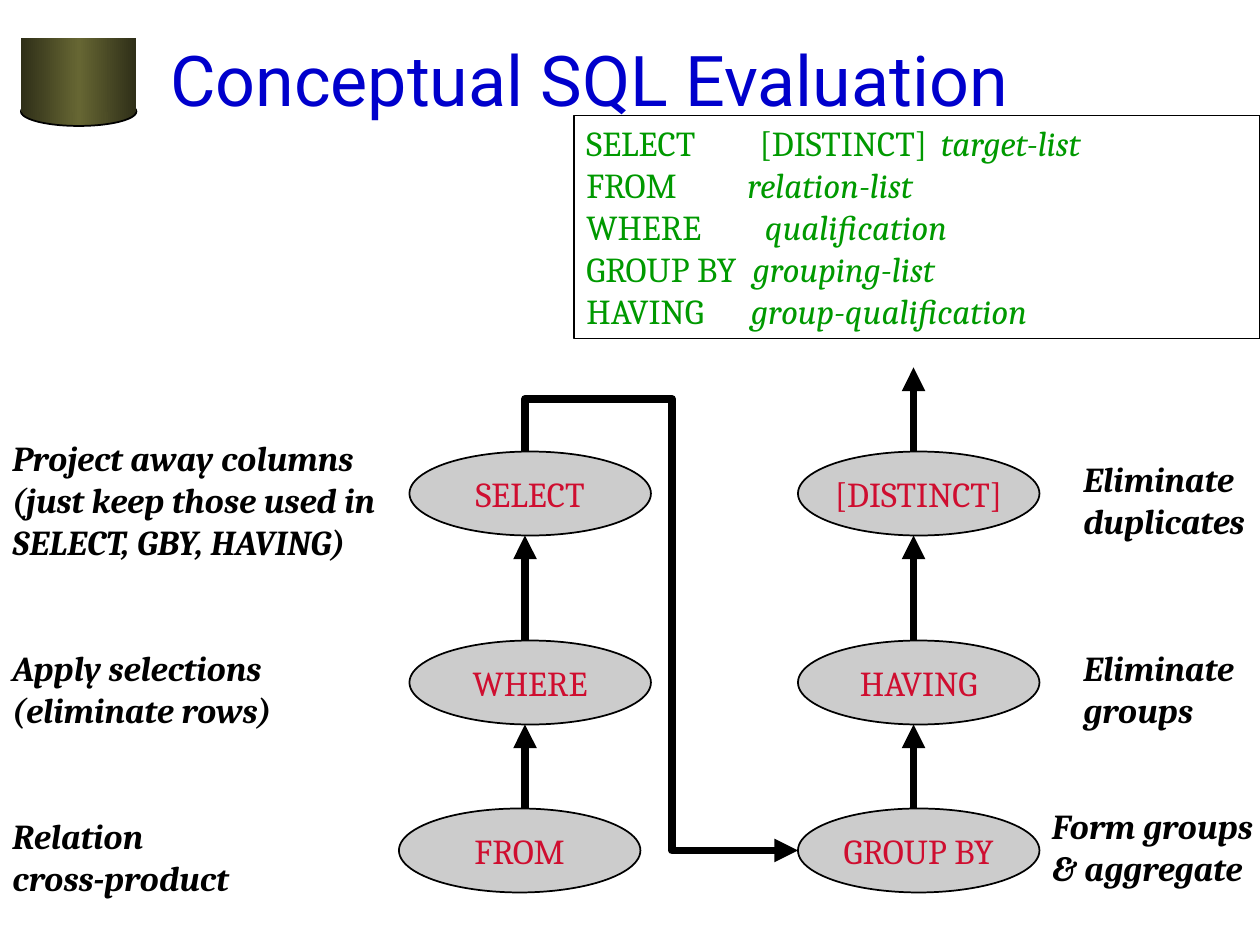
from copy import deepcopy

from lxml import etree
from pptx import Presentation
from pptx.dml.color import RGBColor
from pptx.enum import shapes, text
from pptx.oxml import ns
from pptx.util import Pt

BLACK = "000000"
SERIF = "Cambria"


def color(value):
    return RGBColor.from_string(value)


class Painter:
    text_size = 20
    arrow_width = 4.5

    def __init__(self, slide):
        self.slide = slide

    def set_font(self, font, value, name=SERIF, size=text_size, bold=False, italic=None):
        font.name = name
        font.size = Pt(size)
        font.bold = bold
        font.italic = italic
        font.color.rgb = color(value)

    def title(self, wording, left, top, width, height):
        shape = self.slide.shapes.title
        shape.left, shape.top, shape.width, shape.height = map(Pt, (left, top, width, height))
        frame = shape.text_frame
        frame.text = wording
        frame.auto_size = text.MSO_AUTO_SIZE.NONE
        frame.vertical_anchor = text.MSO_ANCHOR.MIDDLE
        paragraph = frame.paragraphs[0]
        paragraph.alignment = text.PP_ALIGN.LEFT
        self.set_font(paragraph.font, "0000CC", "Roboto", 40)

    def shape(self, kind, left, top, width, height, fill=None, outlined=True):
        shape = self.slide.shapes.add_shape(kind, *map(Pt, (left, top, width, height)))
        shape.shadow.inherit = False
        if fill:
            shape.fill.solid()
            shape.fill.fore_color.rgb = color(fill)
        else:
            shape.fill.background()
        if outlined:
            shape.line.color.rgb = color(BLACK)
            shape.line.width = Pt(1)
        else:
            shape.line.fill.background()
        return shape

    def metal(self, kind, left, top, width, height, outlined):
        shape = self.shape(kind, left, top, width, height, outlined=outlined)
        shape.fill.gradient()
        shape.fill.gradient_angle = 0
        stop_list = shape._element.spPr.find(".//" + ns.qn("a:gsLst"))
        stop_list.append(deepcopy(stop_list[0]))
        shades = [(0, "2F2F18"), (0.5, "666633"), (1, "2F2F18")]
        for stop, (position, shade) in zip(shape.fill.gradient_stops, shades):
            stop.position = position
            stop.color.rgb = color(shade)

    def step(self, wording, left, top, width, height):
        shape = self.shape(shapes.MSO_SHAPE.OVAL, left, top, width, height, "CCCCCC")
        frame = shape.text_frame
        frame.word_wrap = False
        frame.vertical_anchor = text.MSO_ANCHOR.MIDDLE
        frame.text = wording
        paragraph = frame.paragraphs[0]
        paragraph.alignment = text.PP_ALIGN.CENTER
        self.set_font(paragraph.font, "CF0E30")

    def label(self, wording, left, top, width, height):
        shape = self.slide.shapes.add_textbox(*map(Pt, (left, top, width, height)))
        frame = shape.text_frame
        frame.word_wrap = True
        frame.text = wording
        for paragraph in frame.paragraphs:
            self.set_font(paragraph.font, BLACK, bold=True, italic=True)

    def query(self, clauses, left, top, width, height):
        shape = self.shape(shapes.MSO_SHAPE.RECTANGLE, left, top, width, height)
        frame = shape.text_frame
        frame.word_wrap = True
        frame.vertical_anchor = text.MSO_ANCHOR.TOP
        for index, (keyword, argument, stops) in enumerate(clauses):
            paragraph = frame.paragraphs[0] if index == 0 else frame.add_paragraph()
            paragraph.alignment = text.PP_ALIGN.LEFT
            properties = paragraph._p.get_or_add_pPr()
            tabs = etree.SubElement(properties, ns.qn("a:tabLst"))
            for stop in stops:
                etree.SubElement(tabs, ns.qn("a:tab"), pos=str(Pt(stop)), algn="l")
            self.set_font(paragraph.font, "009900")
            paragraph.add_run().text = keyword + "\t"
            run = paragraph.add_run()
            run.text = argument
            run.font.italic = True

    def add_arrowhead(self, shape):
        shape.line.color.rgb = color(BLACK)
        shape.line.width = Pt(self.arrow_width)
        line = shape.line._get_or_add_ln()
        etree.SubElement(line, ns.qn("a:tailEnd"), type="triangle")

    def arrow(self, x, bottom, top):
        connector = self.slide.shapes.add_connector(
            shapes.MSO_CONNECTOR.STRAIGHT, *map(Pt, (x, bottom, x, top)))
        self.add_arrowhead(connector)
        etree.SubElement(connector._element.spPr, ns.qn("a:effectLst"))

    def bent_arrow(self, points):
        start, *others = [(Pt(x), Pt(y)) for x, y in points]
        builder = self.slide.shapes.build_freeform(*start)
        builder.add_line_segments(others, close=False)
        shape = builder.convert_to_shape()
        shape.fill.background()
        self.add_arrowhead(shape)
        shape.shadow.inherit = False


def main():
    presentation = Presentation()
    presentation.slide_width, presentation.slide_height = Pt(720), Pt(540)
    slide = presentation.slides.add_slide(presentation.slide_layouts[5])
    painter = Painter(slide)

    painter.metal(shapes.MSO_SHAPE.OVAL, 12, 55.5, 66, 16.5, True)
    painter.metal(shapes.MSO_SHAPE.RECTANGLE, 12, 21.5, 66, 42.5, False)
    painter.title("Conceptual SQL Evaluation", 90, 0, 594, 90)
    painter.query([
        ("SELECT\t[DISTINCT]", "target-list", (99, 202.5)),
        ("FROM", "relation-list", (92,)),
        ("WHERE", "qualification", (102,)),
        ("GROUP BY", "grouping-list", (95,)),
        ("HAVING", "group-qualification", (94,)),
    ], 328, 66, 392, 127.5)

    step_width, step_height = 138, 48
    row_tops = (258, 366, 462)
    left_steps = [("SELECT", 234), ("WHERE", 234), ("FROM", 228)]
    right_steps = [("[DISTINCT]", 456), ("HAVING", 456), ("GROUP BY", 456)]
    for column in (left_steps, right_steps):
        for (wording, left), top in zip(column, row_tops):
            painter.step(wording, left, top, step_width, step_height)

    for label in [
        ("Project away columns\n(just keep those used in SELECT, GBY, HAVING)", 0, 246, 246, 79),
        ("Apply selections\n(eliminate rows)", 0, 366, 204, 55.5),
        ("Relation\vcross-product", 0, 462, 156, 55.5),
        ("Eliminate duplicates", 612, 258, 108, 79),
        ("Eliminate groups", 612, 366, 108, 55.5),
        ("Form groups & aggregate", 594, 456, 144, 55.5),
    ]:
        painter.label(*label)

    left_flow, right_flow = 300, 522
    for x in (left_flow, right_flow):
        for upper, lower in zip(row_tops, row_tops[1:]):
            painter.arrow(x, lower, upper + step_height)
    painter.arrow(right_flow, row_tops[0], 210)
    group_middle = row_tops[2] + step_height / 2
    painter.bent_arrow([(left_flow, row_tops[0]), (left_flow, 228), (384, 228),
                        (384, group_middle), (456, group_middle)])

    presentation.save("out.pptx")


if __name__ == "__main__":
    main()
